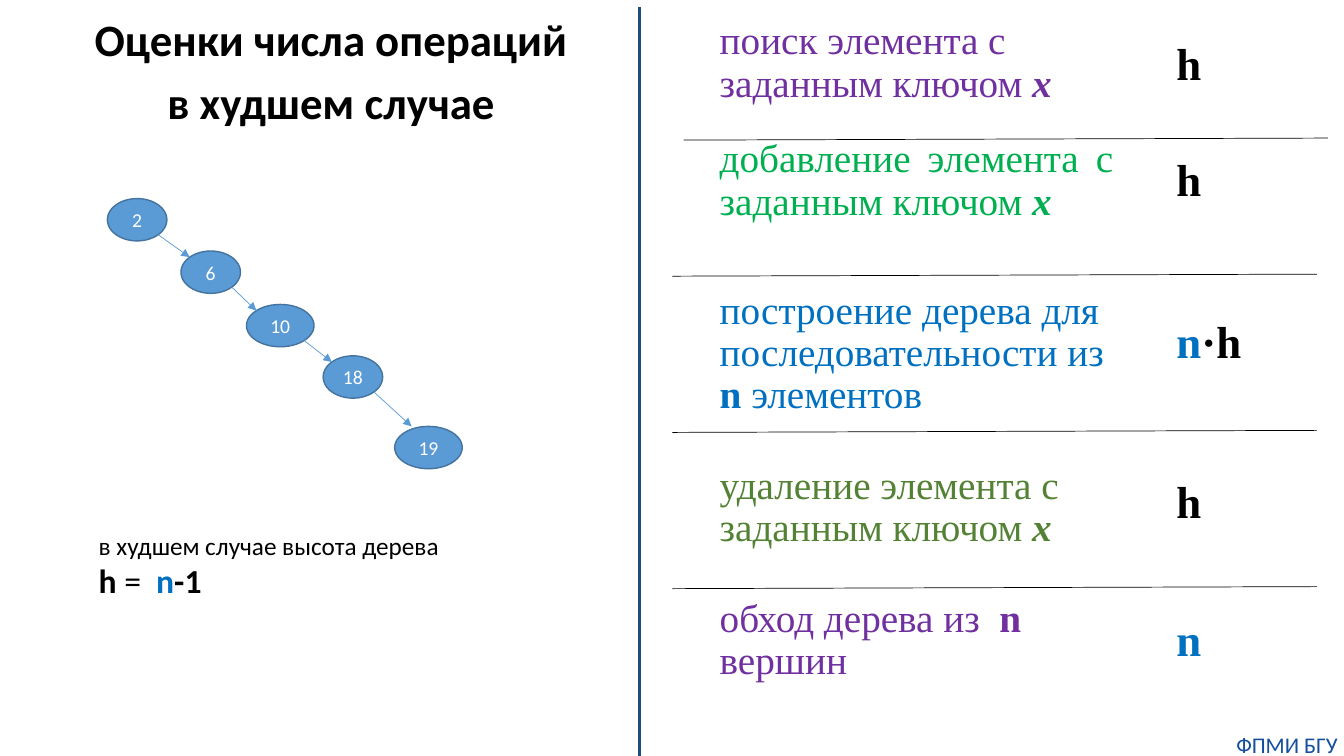
from lxml import etree
from pptx import Presentation
from pptx.dml.color import RGBColor
from pptx.enum.shapes import MSO_CONNECTOR, MSO_SHAPE
from pptx.enum.text import MSO_ANCHOR, MSO_AUTO_SIZE, PP_ALIGN
from pptx.oxml.ns import qn
from pptx.util import Inches, Pt

LEFT, CENTER, JUSTIFY = PP_ALIGN.LEFT, PP_ALIGN.CENTER, PP_ALIGN.JUSTIFY
TOP, MIDDLE, BOTTOM = MSO_ANCHOR.TOP, MSO_ANCHOR.MIDDLE, MSO_ANCHOR.BOTTOM
STRAIGHT = MSO_CONNECTOR.STRAIGHT
OVAL = MSO_SHAPE.OVAL

SLIDE_W, SLIDE_H = 13.33, 7.5
SPLIT = 6.34            # border between the two halves
OPERATION_COL, COST_COL = 7.04, 11.57
RULE_W, RULE_RISE = 6.39, 0.02
NODE_H = 0.42
DIAGONAL = 0.146        # where an oval crosses its box's diagonal, as a share

SANS, SERIF = "Calibri", "Times New Roman"
BLACK, WHITE, BLUE, PURPLE = "000000", "FFFFFF", "0070C0", "7030A0"
GREEN, OLIVE = "00B050", "548235"
NODE_FILL, NODE_LINE, NAVY, FOOTER_BLUE = "5B9BD5", "43739E", "1F4E79", "144E9D"

BOLD = {"bold": True}
KEY = {"bold": True, "italic": True}

# Operation: top, width, height, colour, alignment, runs; cost: top, runs
OPERATIONS = [
    (0.16, 3.84, 0.95, PURPLE, LEFT,
     [("поиск элемента с заданным ключом ", {}), ("x", KEY)], 0.31, [("h", {})]),
    (1.33, 4.1, 0.95, GREEN, JUSTIFY,
     [("добавление элемента с заданным ключом ", {}), ("х", KEY)], 1.46, [("h", {})]),
    (2.83, 4.2, 1.32, BLUE, LEFT,
     [("построение дерева для последовательности из ", {}), ("n ", BOLD),
      ("элементов", {})], 3.06, [("n", {"color": BLUE}), ("·h", {})]),
    (4.57, 3.7, 0.89, OLIVE, LEFT,
     [("удаление элемента с заданным ключом ", {}), ("x", KEY)], 4.65, [("h", {})]),
    (5.89, 3.57, 0.89, PURPLE, LEFT,
     [("обход дерева из  ", {}), ("n ", BOLD), ("вершин", {})],
     6.02, [("n", {"color": BLUE})]),
]
RULES = [(6.78, 1.39), (6.67, 2.74), (6.67, 4.29), (6.67, 5.84)]

# Key, centre x, top, width, and where the arrow lands as shares of the oval's box
CORNER = (DIAGONAL, DIAGONAL)
NODES = [
    ("2", 1.36, 1.97, 0.59, CORNER),
    ("6", 2.09, 2.49, 0.59, CORNER),
    ("10", 2.78, 3.02, 0.67, CORNER),
    ("18", 3.5, 3.53, 0.59, CORNER),
    ("19", 4.25, 4.23, 0.67, (0.25, 0)),
]


def rgb(value):
    return RGBColor.from_string(value)


def box(left, top, width, height):
    return [Inches(v) for v in (left, top, width, height)]


def write(frame, paragraphs, font=SANS, size=18, color=BLACK, bold=False,
          align=LEFT, anchor=TOP, spacing=1.0, before=0, inset=None):
    """Fill a text frame; each paragraph is a list of (text, overrides)."""
    frame.auto_size = MSO_AUTO_SIZE.NONE
    frame.word_wrap = True
    frame.vertical_anchor = anchor
    if inset is not None:
        frame.margin_left = frame.margin_right = Inches(inset)
        frame.margin_top = frame.margin_bottom = Inches(inset)
    for index, runs in enumerate(paragraphs):
        paragraph = frame.add_paragraph() if index else frame.paragraphs[0]
        paragraph.alignment = align
        paragraph.line_spacing = spacing
        paragraph.space_before = Pt(before if index else 0)
        for text, overrides in runs:
            run = paragraph.add_run()
            run.text = text
            run.font.name = font
            run.font.size = Pt(overrides.get("size", size))
            run.font.bold = overrides.get("bold", bold)
            run.font.italic = overrides.get("italic", False)
            run.font.color.rgb = rgb(overrides.get("color", color))


def add_text(slide, place, paragraphs, **style):
    write(slide.shapes.add_textbox(*box(*place)).text_frame, paragraphs, **style)


def add_line(slide, start, end, color, width, arrow=False):
    line = slide.shapes.add_connector(STRAIGHT, *box(*start, *end))
    line.line.color.rgb = rgb(color)
    line.line.width = Pt(width)
    if arrow:
        etree.SubElement(line.line._get_or_add_ln(), qn("a:tailEnd"), type="triangle")
    etree.SubElement(line._element.spPr, qn("a:effectLst"))


def add_node(slide, key, center, top, width):
    node = slide.shapes.add_shape(OVAL, *box(center - width / 2, top, width, NODE_H))
    node.shadow.inherit = False
    node.fill.solid()
    node.fill.fore_color.rgb = rgb(NODE_FILL)
    node.line.color.rgb = rgb(NODE_LINE)
    node.line.width = Pt(1)
    write(node.text_frame, [[(key, {})]], size=14, color=WHITE,
          align=CENTER, anchor=MIDDLE, inset=0)


def add_tree(slide):
    for key, center, top, width, _ in NODES:
        add_node(slide, key, center, top, width)
    for parent, child in zip(NODES, NODES[1:]):
        _, center, top, width, _ = parent
        start = (center + width * (0.5 - DIAGONAL), top + NODE_H * (1 - DIAGONAL))
        _, center, top, width, (across, down) = child
        end = (center + width * (across - 0.5), top + NODE_H * down)
        add_line(slide, start, end, NODE_FILL, 0.5, arrow=True)


def add_operations(slide):
    for top, width, height, color, align, runs, cost_top, cost in OPERATIONS:
        add_text(slide, (OPERATION_COL, top, width, height), [runs], font=SERIF,
                 size=28, color=color, align=align, spacing=0.9)
        add_text(slide, (COST_COL, cost_top, 0.85, 0.64), [cost], font=SERIF,
                 size=32, bold=True)
    for left, top in RULES:
        add_line(slide, (left, top), (left + RULE_W, top - RULE_RISE), BLACK, 0.5)


def main():
    prs = Presentation()
    prs.slide_width, prs.slide_height = Inches(SLIDE_W), Inches(SLIDE_H)
    slide = prs.slides.add_slide(prs.slide_layouts[5])

    # Left half: heading, degenerate tree, its height
    heading = slide.shapes.title
    heading.left, heading.top, heading.width, heading.height = box(0.24, 0.07, 6.09, 1.26)
    write(heading.text_frame, [[("Оценки числа операций", {})], [("в худшем случае", {})]],
          size=32, bold=True, align=CENTER, anchor=BOTTOM, spacing=0.9, before=10)
    add_tree(slide)
    add_text(slide, (0.88, 5.21, 3.98, 0.81), [
        [("в худшем случае высота дерева", {"size": 18})],
        [("h ", BOLD), ("=  ", {}), ("n", {"bold": True, "color": BLUE}), ("-1", BOLD)],
    ], size=24)

    # Right half: operations and their costs
    add_line(slide, (SPLIT, 0.07), (SPLIT, SLIDE_H), NAVY, 2.25)
    add_operations(slide)

    # Footer
    add_text(slide, (12.2, 7.25, 1.13, 0.27), [[("ФПМИ БГУ", {})]],
             size=16, color=FOOTER_BLUE, align=CENTER, inset=0)
    prs.save("out.pptx")


if __name__ == "__main__":
    main()
